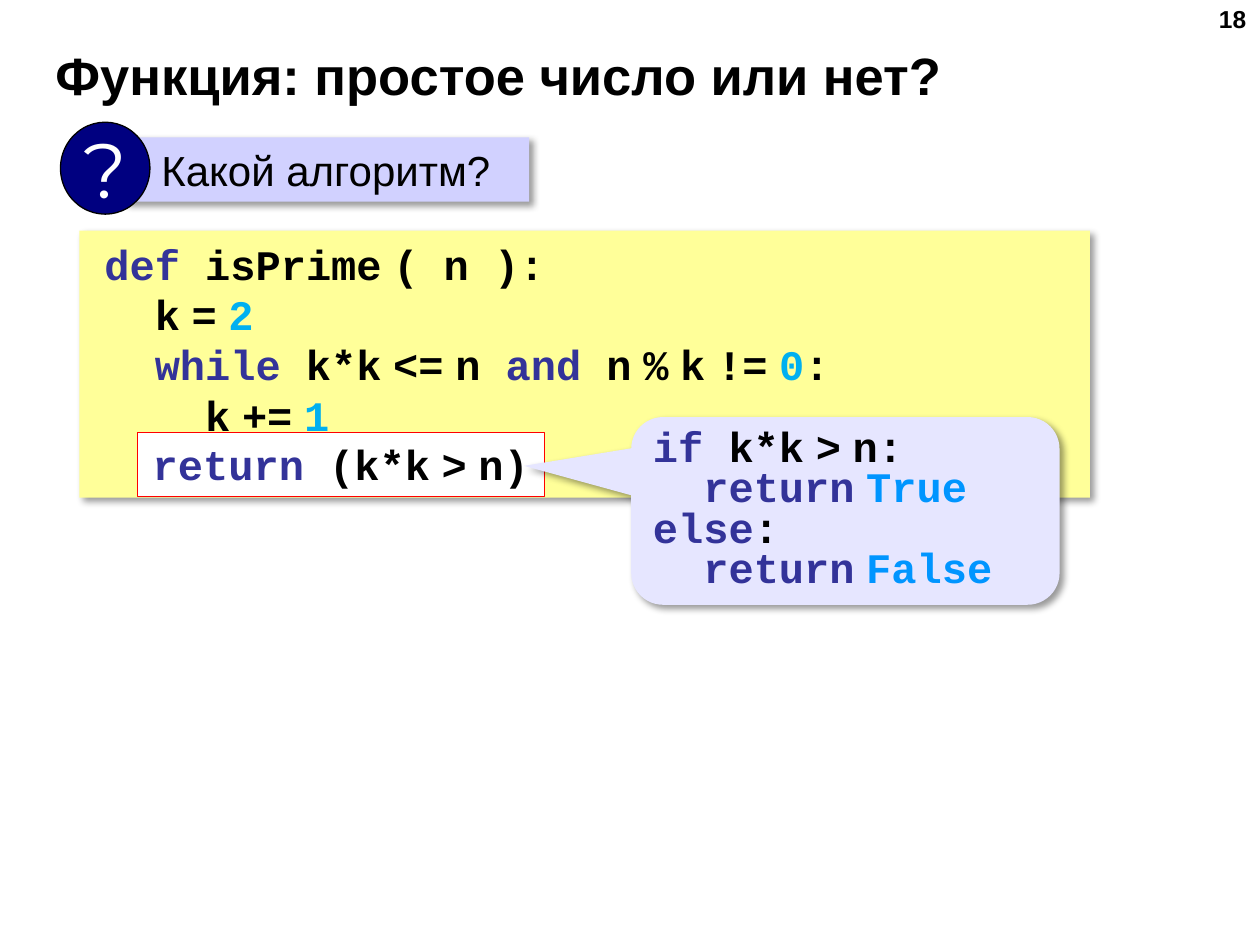
from lxml.etree import SubElement
from pptx import Presentation
from pptx.dml.color import RGBColor
from pptx.enum.shapes import MSO_SHAPE
from pptx.enum.text import MSO_ANCHOR, PP_ALIGN
from pptx.oxml.ns import qn
from pptx.util import Inches, Pt

BLACK = RGBColor(0x00, 0x00, 0x00)
WHITE = RGBColor(0xFF, 0xFF, 0xFF)
RED = RGBColor(0xFF, 0x00, 0x00)
NAVY = RGBColor(0x00, 0x00, 0x80)
LILAC = RGBColor(0xD1, 0xD1, 0xFF)
PALE_LILAC = RGBColor(0xE6, 0xE6, 0xFF)
YELLOW = RGBColor(0xFF, 0xFF, 0x99)
KEYWORD = RGBColor(0x33, 0x33, 0x99)
LINK_BLUE = RGBColor(0x00, 0x00, 0xFF)
NUMBER = RGBColor(0x00, 0xB0, 0xF0)
BOOLEAN = RGBColor(0x00, 0x95, 0xFF)

# Content: lines of (text, colour) runs; "~" stands for a narrow space
TITLE = "Функция: простое число или нет?"
NUMBER_LABEL = "18"
QUESTION = "Какой алгоритм?"
CONDITION = (" (k*k~>~n)", BLACK)
CODE = [
    [("def ", KEYWORD), ("isPrime~( n ):", BLACK)],
    [("  k~=~", BLACK), ("2", NUMBER)],
    [("  ", BLACK), ("while", KEYWORD), (" k*k~<=~n ", BLACK), ("and", KEYWORD),
     (" n~%~k~!=~", BLACK), ("0", NUMBER), (":", BLACK)],
    [("    k~+=~", BLACK), ("1", NUMBER)],
    [("  ", BLACK), ("return", LINK_BLUE), CONDITION],
]
RETURN_LINE = [[("return", KEYWORD), CONDITION]]
EXPLANATION = [
    [("if ", KEYWORD), ("k*k~>~n:", BLACK)],
    [("  return~", KEYWORD), ("True", BOOLEAN)],
    [("else", KEYWORD), (":", BLACK)],
    [("  return~", KEYWORD), ("False", BOOLEAN)],
]


def write(sp, text, size=24, font="Arial", color=BLACK, bold=False,
          align=PP_ALIGN.LEFT, anchor=MSO_ANCHOR.MIDDLE, wrap=True,
          line_spacing=None, hanging=False, gap_spacing=0):
    """Write a string, or lines of (text, colour) runs, into a shape."""
    lines = [[(text, color)]] if isinstance(text, str) else text
    tf = sp.text_frame
    tf.word_wrap = wrap
    tf.vertical_anchor = anchor
    for i, line in enumerate(lines):
        p = tf.add_paragraph() if i else tf.paragraphs[0]
        p.alignment = align
        if line_spacing:
            p.line_spacing = line_spacing
        if hanging:
            pPr = p._p.get_or_add_pPr()
            pPr.set("marL", str(Inches(0.2)))
            pPr.set("indent", str(-Inches(0.1)))
        for run_text, run_color in line:
            for j, part in enumerate(run_text.split("~")):
                pieces = [(" ", "Arial")] if j else []
                if part:
                    pieces.append((part, font))
                for piece, face in pieces:
                    r = p.add_run()
                    r.text = piece
                    r.font.name = face
                    r.font.size = Pt(size)
                    r.font.bold = bold
                    r.font.color.rgb = run_color
                    if face != font and gap_spacing:
                        r._r.get_or_add_rPr().set("spc", str(gap_spacing))


def add_box(shapes, kind, box, fill, line=None, shadow=False):
    sp = shapes.add_shape(kind, *map(Inches, box))
    sp.shadow.inherit = False
    sp.fill.solid()
    sp.fill.fore_color.rgb = fill
    if line is None:
        sp.line.fill.background()
    else:
        sp.line.color.rgb = line
        sp.line.width = Pt(0.75)
    if shadow:
        effects = sp._element.spPr.find(qn("a:effectLst"))
        outer = SubElement(effects, qn("a:outerShdw"), blurRad=str(Pt(4)),
                           dist=str(Pt(3)), dir="2700000", algn="tl", rotWithShape="0")
        tint = SubElement(outer, qn("a:srgbClr"), val="000000")
        SubElement(tint, qn("a:alpha"), val="40000")
    return sp


prs = Presentation()
prs.slide_width, prs.slide_height = Inches(10), Inches(7.5)
s = prs.slides.add_slide(prs.slide_layouts[5])

# Title and slide number
title = s.shapes.title
title.left, title.top, title.width, title.height = map(Inches, (0.34, 0.33, 9.16, 0.52))
write(title, TITLE, size=30, bold=True)
number = s.shapes.add_textbox(*map(Inches, (7.66, -0.02, 2.33, 0.52)))
write(number, NUMBER_LABEL, size=14, bold=True, align=PP_ALIGN.RIGHT, anchor=MSO_ANCHOR.TOP)

# Question banner with its round mark
group = s.shapes.add_group_shape()
banner = add_box(group.shapes, MSO_SHAPE.RECTANGLE, (0.99, 1.09, 3.21, 0.51), LILAC, shadow=True)
write(banner, QUESTION)
banner.text_frame.margin_left = Inches(0.29)
mark = add_box(group.shapes, MSO_SHAPE.OVAL, (0.48, 0.97, 0.71, 0.73), NAVY, line=BLACK)
write(mark, "?", size=44, font="Montserrat", color=WHITE, align=PP_ALIGN.CENTER, wrap=False)

# Code listing
code_format = dict(font="Courier New", bold=True)
listing = add_box(s.shapes, MSO_SHAPE.RECTANGLE, (0.63, 1.83, 8.02, 2.12), YELLOW, shadow=True)
write(listing, CODE, align=PP_ALIGN.JUSTIFY, hanging=True, gap_spacing=-100, **code_format)

# Highlighted return line
highlight = add_box(s.shapes, MSO_SHAPE.RECTANGLE, (1.09, 3.43, 3.23, 0.51), WHITE, line=RED)
write(highlight, RETURN_LINE, align=PP_ALIGN.CENTER, anchor=MSO_ANCHOR.TOP,
      gap_spacing=-100, **code_format)

# Callout explaining the return line
callout = add_box(s.shapes, MSO_SHAPE.ROUNDED_RECTANGULAR_CALLOUT, (5.01, 3.31, 3.4, 1.49),
                  PALE_LILAC, shadow=True)
for i, value in enumerate((-0.75, -0.24, 0.17)):
    callout.adjustments[i] = value
write(callout, EXPLANATION, line_spacing=0.8, **code_format)

prs.save("out.pptx")
